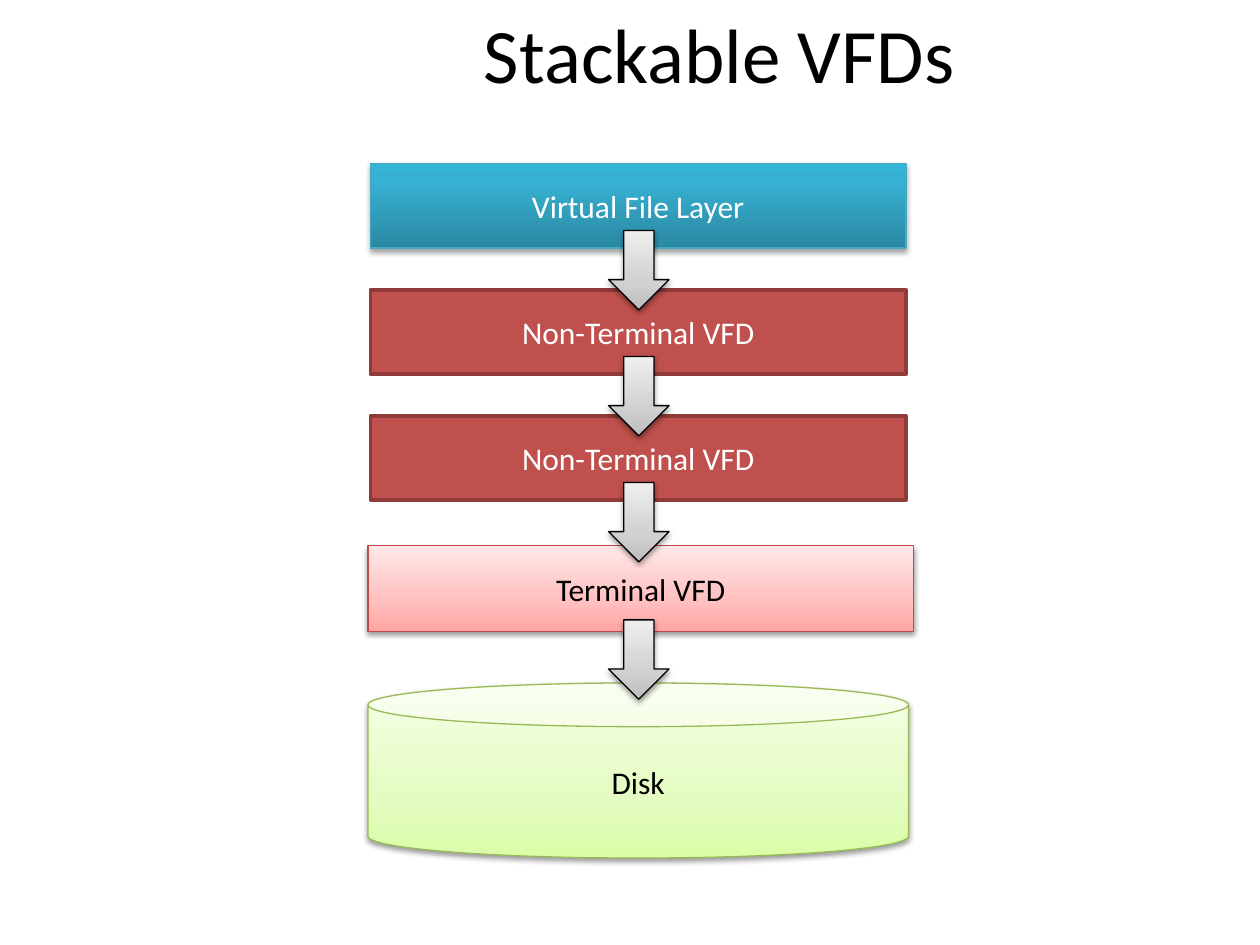
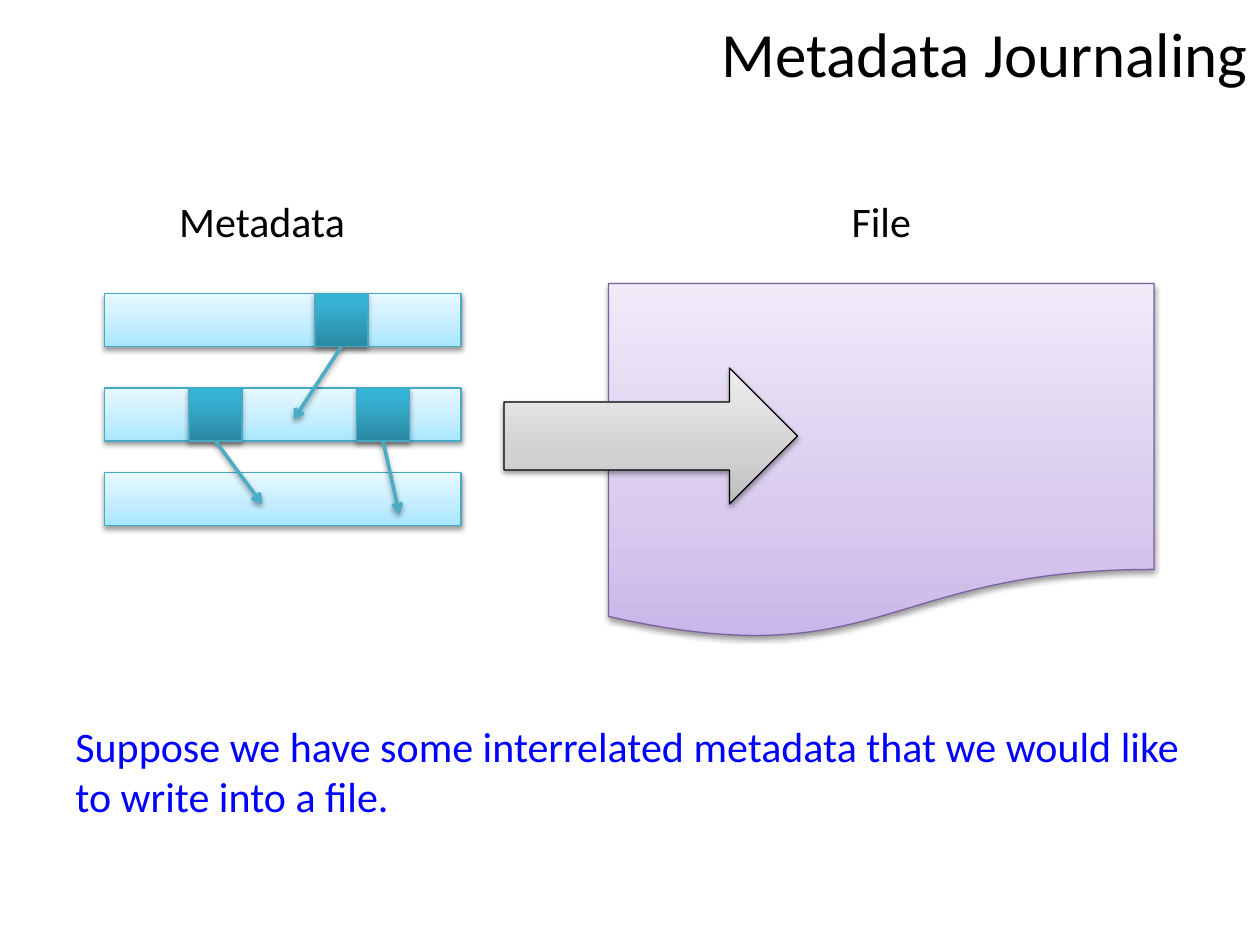
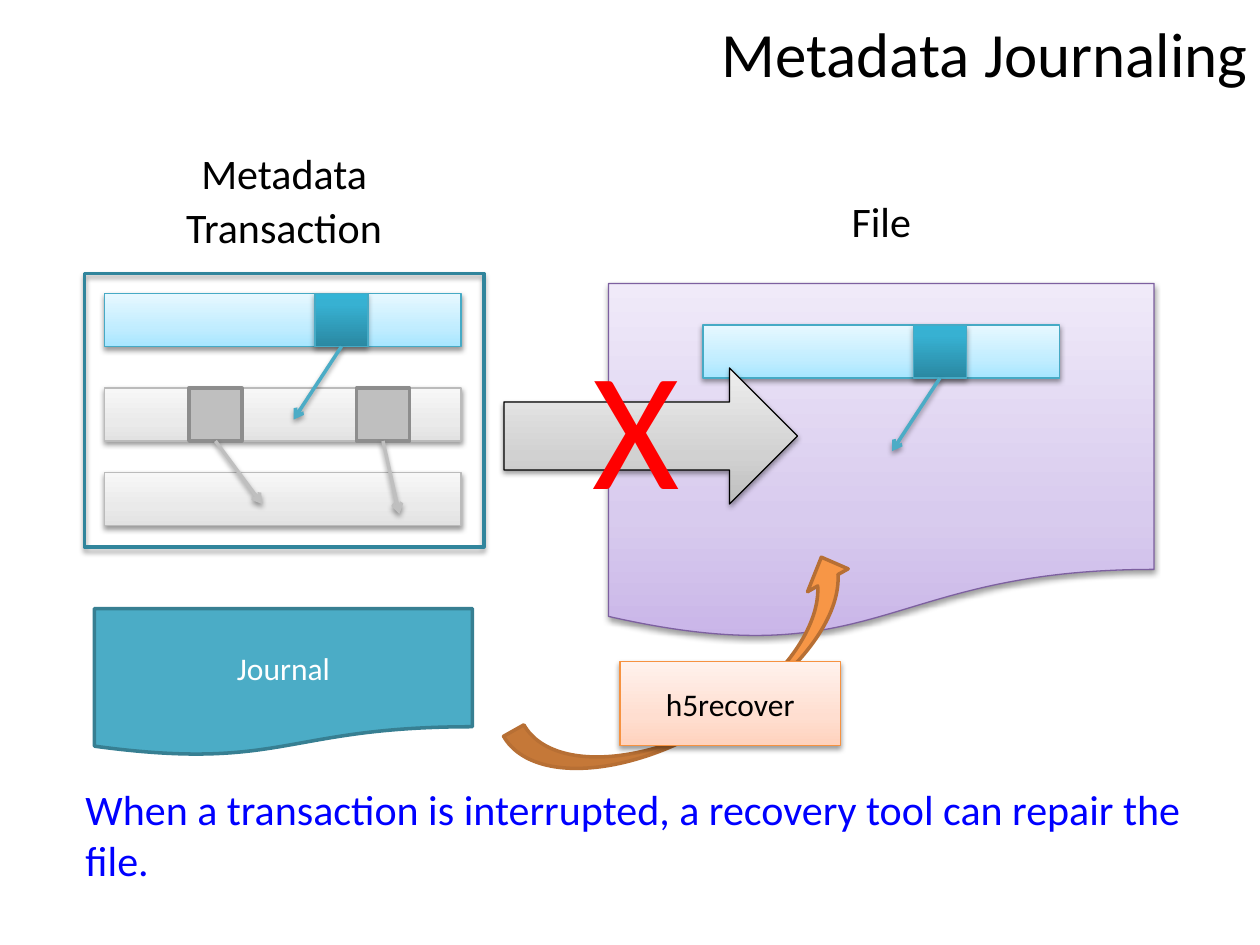
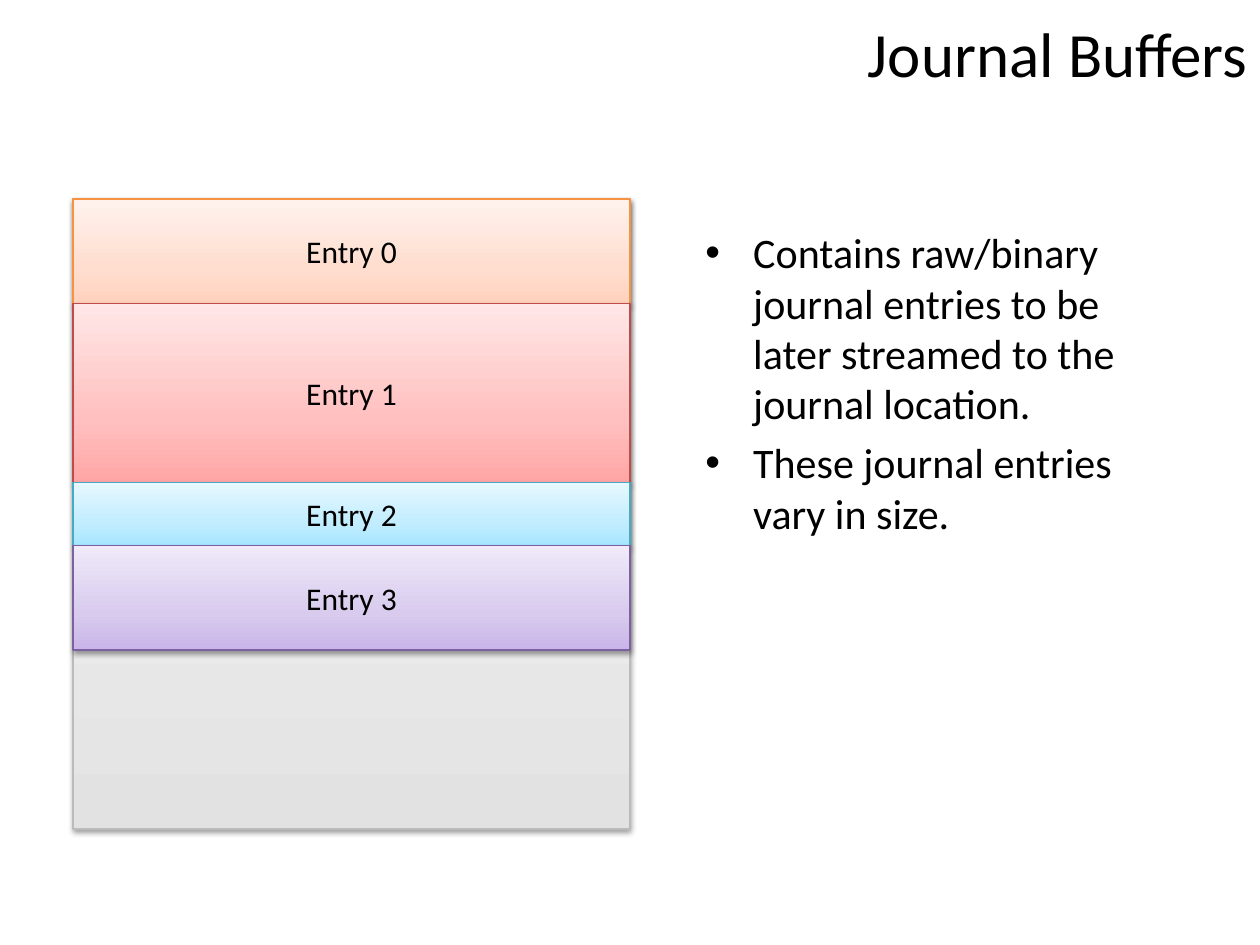
"""Build four slides on stackable VFDs, metadata journaling and journal buffers."""
from lxml import etree
from pptx import Presentation
from pptx.dml.color import RGBColor
from pptx.enum.shapes import MSO_CONNECTOR, MSO_SHAPE
from pptx.enum.text import MSO_ANCHOR, PP_ALIGN
from pptx.oxml.ns import qn
from pptx.util import Inches, Pt

RECT = MSO_SHAPE.RECTANGLE
CAN = MSO_SHAPE.CAN
DOCUMENT = MSO_SHAPE.FLOWCHART_DOCUMENT
DOWN_ARROW = MSO_SHAPE.DOWN_ARROW
RIGHT_ARROW = MSO_SHAPE.RIGHT_ARROW
CURVED_ARROW = MSO_SHAPE.CURVED_UP_ARROW
STRAIGHT = MSO_CONNECTOR.STRAIGHT
MIDDLE, TOP = MSO_ANCHOR.MIDDLE, MSO_ANCHOR.TOP
LEFT, CENTER, RIGHT = PP_ALIGN.LEFT, PP_ALIGN.CENTER, PP_ALIGN.RIGHT

FONT = "Calibri"
COLORS = {
    "black": "000000", "white": "FFFFFF", "blue": "0000FF", "cross": "FF0000",
    "teal_low": "2A88A2", "teal_mid": "37B1D2", "teal_high": "34B4D6", "teal_edge": "46AAC5",
    "cyan_low": "A7E6FF", "cyan_mid": "C1EDFF", "cyan_high": "E7F8FF", "cyan_edge": "46AAC5",
    "pink_low": "FFA6A5", "pink_mid": "FFC0BF", "pink_high": "FFE7E7", "pink_edge": "BF4C48",
    "green_low": "DAFDA7", "green_mid": "E4FCC2", "green_high": "F5FFE7", "green_edge": "98B955",
    "violet_low": "C9B5E8", "violet_mid": "D8CBEE", "violet_high": "F0EAF9", "violet_edge": "7D60A0",
    "peach_low": "FFD2BD", "peach_mid": "FFDED0", "peach_high": "FFF2ED", "peach_edge": "F69240",
    "pale_low": "E2E2E2", "pale_mid": "EAEAEA", "pale_high": "F7F7F7", "pale_edge": "BBBBBB",
    "steel_low": "BDBDBD", "steel_mid": "D1D1D1", "steel_high": "EEEEEE", "steel_edge": "000000",
    "red_fill": "C0504D", "red_edge": "8E3B39",
    "gray_fill": "BFBFBF", "gray_edge": "8D8D8D",
    "aqua_fill": "4BACC6", "aqua_edge": "377F92",
    "orange_fill": "F79646", "orange_edge": "B76F34",
    "frame_edge": "31859C",
}
STRONG = ("teal", "frame")
WHITE_TEXT = ("teal", "red", "aqua")
BAR_W, BAR_H = 2.83, 0.42


def rgb(name):
    """Return the named colour."""
    return RGBColor.from_string(COLORS[name])


def add_color(parent, name):
    """Append a named colour to an XML element and return it."""
    return etree.SubElement(parent, qn("a:srgbClr"), val=COLORS[name])


def add_shadow(effects, style):
    """Fill an effect list with the soft shadow of the theme."""
    alpha, dist = (35, 1.8) if style in STRONG else (38, 1.6)
    shadow = etree.SubElement(effects, qn("a:outerShdw"), blurRad=str(Pt(3.1)),
                              dist=str(Pt(dist)), dir="5400000", rotWithShape="0")
    color = add_color(shadow, "black")
    etree.SubElement(color, qn("a:alpha"), val=str(alpha * 1000))


def fill_gradient(sp, style):
    """Give a shape the three-stop gradient of a style, rising from the bottom."""
    sp.fill.gradient()
    sp.fill.gradient_angle = 90
    stops = sp._element.spPr.find(qn("a:gradFill")).find(qn("a:gsLst"))
    for gs in list(stops):
        stops.remove(gs)
    middle = 80 if style == "teal" else 35
    for level, pos in (("low", 0), ("mid", middle), ("high", 100)):
        gs = etree.SubElement(stops, qn("a:gs"), pos=str(pos * 1000))
        add_color(gs, f"{style}_{level}")


def write(tf, text, size, color, align, anchor):
    """Put text into a frame, one paragraph a line, and format its runs."""
    tf.word_wrap = True
    tf.vertical_anchor = anchor
    tf.text = text
    for i, p in enumerate(tf.paragraphs):
        p.alignment = align
        if i:
            p.space_before = Pt(size * 0.2)
        for r in p.runs:
            r.font.name = FONT
            r.font.size = Pt(size)
            r.font.color.rgb = rgb(color)


def add_text(slide, box, text, size=24, color="black", align=CENTER, anchor=TOP):
    """Add a text box and return its frame."""
    tf = slide.shapes.add_textbox(*map(Inches, box)).text_frame
    write(tf, text, size, color, align, anchor)
    return tf


def add_title(prs, text, size=36, align=RIGHT):
    """Add a blank slide with its title and return it."""
    slide = prs.slides.add_slide(prs.slide_layouts[6])
    add_text(slide, (1.42, 0, 8.58, 0.83), text, size, align=align, anchor=MIDDLE)
    return slide


def add_block(slide, kind, box, style, text=""):
    """Add a preset shape in a named style: gradient, solid or outline only."""
    sp = slide.shapes.add_shape(kind, *map(Inches, box))
    sp.shadow.inherit = False
    solid = f"{style}_fill" in COLORS
    if solid:
        sp.fill.solid()
        sp.fill.fore_color.rgb = rgb(f"{style}_fill")
    elif f"{style}_low" in COLORS:
        fill_gradient(sp, style)
    else:
        sp.fill.background()
    sp.line.color.rgb = rgb(f"{style}_edge")
    sp.line.width = Pt(2 if solid or style == "frame" else 0.75)
    if not solid:
        add_shadow(sp._element.spPr.find(qn("a:effectLst")), style)
    if text:
        color = "white" if style in WHITE_TEXT else "black"
        write(sp.text_frame, text, 18, color, CENTER, MIDDLE)
    return sp


def add_pointer(slide, cell, end, color):
    """Draw an arrow from the bottom of a cell to a point."""
    x, y = map(Inches, end)
    cxn = slide.shapes.add_connector(STRAIGHT, cell.left, cell.top, x, y)
    cxn.begin_connect(cell, 2)
    cxn.line.color.rgb = rgb(color)
    cxn.line.width = Pt(2)
    spPr = cxn._element.spPr
    etree.SubElement(spPr.find(qn("a:ln")), qn("a:tailEnd"), type="arrow")
    add_shadow(etree.SubElement(spPr, qn("a:effectLst")), "pointer")


def add_record(slide, x, y, pointers=(), live=True):
    """Add a metadata bar; each pointer is a cell offset and an arrow's run."""
    bar, cell, color = ("cyan", "teal", "aqua_fill") if live else ("pale", "gray", "gray_fill")
    add_block(slide, RECT, (x, y, BAR_W, BAR_H), bar)
    for offset, dx, dy in pointers:
        sp = add_block(slide, RECT, (x + offset, y, BAR_H, BAR_H), cell)
        end = (x + offset + BAR_H / 2 + dx, y + BAR_H + dy)
        add_pointer(slide, sp, end, color)


def add_metadata(slide, live):
    """Add the three linked records; all but the first may be inactive."""
    add_record(slide, 0.83, 3.75, live=live)
    add_record(slide, 0.83, 3.08, [(0.67, 0.37, 0.5), (2, 0.13, 0.58)], live)
    add_record(slide, 0.83, 2.33, [(1.67, -0.38, 0.58)])


def add_file(slide):
    """Add the file symbol and its label."""
    add_block(slide, DOCUMENT, (4.83, 2.25, 4.33, 2.83), "violet")
    add_text(slide, (4.83, 1.5, 4.33, 0.58), "File")


def add_write_arrow(slide):
    """Add the wide arrow from the metadata into the file."""
    add_block(slide, RIGHT_ARROW, (4, 2.92, 2.33, 1.08), "steel")


def add_bullets(slide, box, items):
    """Add a bulleted list."""
    tf = add_text(slide, box, "\n".join(items), align=LEFT)
    for p in tf.paragraphs:
        pPr = p._p.get_or_add_pPr()
        pPr.set("marL", str(Inches(0.38)))
        pPr.set("indent", str(Inches(-0.38)))
        etree.SubElement(pPr, qn("a:buFont"), typeface="Arial")
        etree.SubElement(pPr, qn("a:buChar"), char="•")


def build_stack(prs):
    """Build the slide on stackable VFDs."""
    slide = add_title(prs, "Stackable VFDs", 44, CENTER)
    layers = (("Virtual File Layer", "teal"), ("Non-Terminal VFD", "red"),
              ("Non-Terminal VFD", "red"))
    for i, (text, style) in enumerate(layers):
        add_block(slide, RECT, (2.94, 1.3 + i, 4.25, 0.67), style, text)
    add_block(slide, RECT, (2.92, 4.33, 4.33, 0.68), "pink", "Terminal VFD")
    add_block(slide, CAN, (2.92, 5.42, 4.29, 1.39), "green", "Disk")
    for y in (1.83, 2.83, 3.83, 4.92):
        add_block(slide, DOWN_ARROW, (4.83, y, 0.48, 0.63), "steel")


def build_metadata(prs):
    """Build the slide on metadata to be written."""
    slide = add_title(prs, "Metadata Journaling")
    add_file(slide)
    add_text(slide, (0.33, 1.5, 3.5, 0.58), "Metadata")
    add_metadata(slide, live=True)
    add_write_arrow(slide)
    add_text(slide, (0.5, 5.67, 9.08, 1.33),
             "Suppose we have some interrelated metadata that we would like "
             "to write into a file.", color="blue", align=LEFT)


def build_recovery(prs):
    """Build the slide on repairing an interrupted transaction."""
    slide = add_title(prs, "Metadata Journaling")
    add_file(slide)
    tf = add_text(slide, (0.67, 1.17, 3.17, 0.92), "Metadata\nTransaction")
    for p in tf.paragraphs:
        p.line_spacing = 0.9
    add_metadata(slide, live=False)
    add_text(slide, (0.58, 6.17, 9.08, 0.92),
             "When a transaction is interrupted, a recovery tool can repair the file.",
             color="blue", align=LEFT)
    add_block(slide, RECT, (0.67, 2.17, 3.17, 2.17), "frame")
    add_block(slide, DOCUMENT, (0.75, 4.83, 3, 1.17), "aqua", "Journal")
    add_record(slide, 5.58, 2.58, [(1.67, -0.38, 0.58)])
    add_write_arrow(slide)
    add_text(slide, (4.17, 2.5, 1.75, 1.75), "X", 96, "cross")
    arrow = add_block(slide, CURVED_ARROW, (3.98, 5.04, 3.08, 0.74), "orange")
    arrow.rotation = 330.6
    add_block(slide, RECT, (4.92, 5.25, 1.75, 0.67), "peach", "h5recover")


def build_buffers(prs):
    """Build the slide on journal buffers."""
    slide = add_title(prs, "Journal Buffers")
    x, y, w = 0.58, 1.58, 4.42
    add_block(slide, RECT, (x, y, w, 5), "pale")
    add_bullets(slide, (5.5, 1.75, 4, 3.58), (
        "Contains raw/binary journal entries to be later streamed to the journal location.",
        "These journal entries vary in size."))
    entries = (("peach", 0.83), ("pink", 1.42), ("cyan", 0.5), ("violet", 0.83))
    for i, (style, h) in enumerate(entries):
        add_block(slide, RECT, (x, y, w, h), style, f"Entry {i}")
        y += h


def main():
    """Build and save the presentation."""
    prs = Presentation()
    prs.slide_width, prs.slide_height = Inches(10), Inches(7.5)
    for build in (build_stack, build_metadata, build_recovery, build_buffers):
        build(prs)
    prs.save("out.pptx")


if __name__ == "__main__":
    main()
